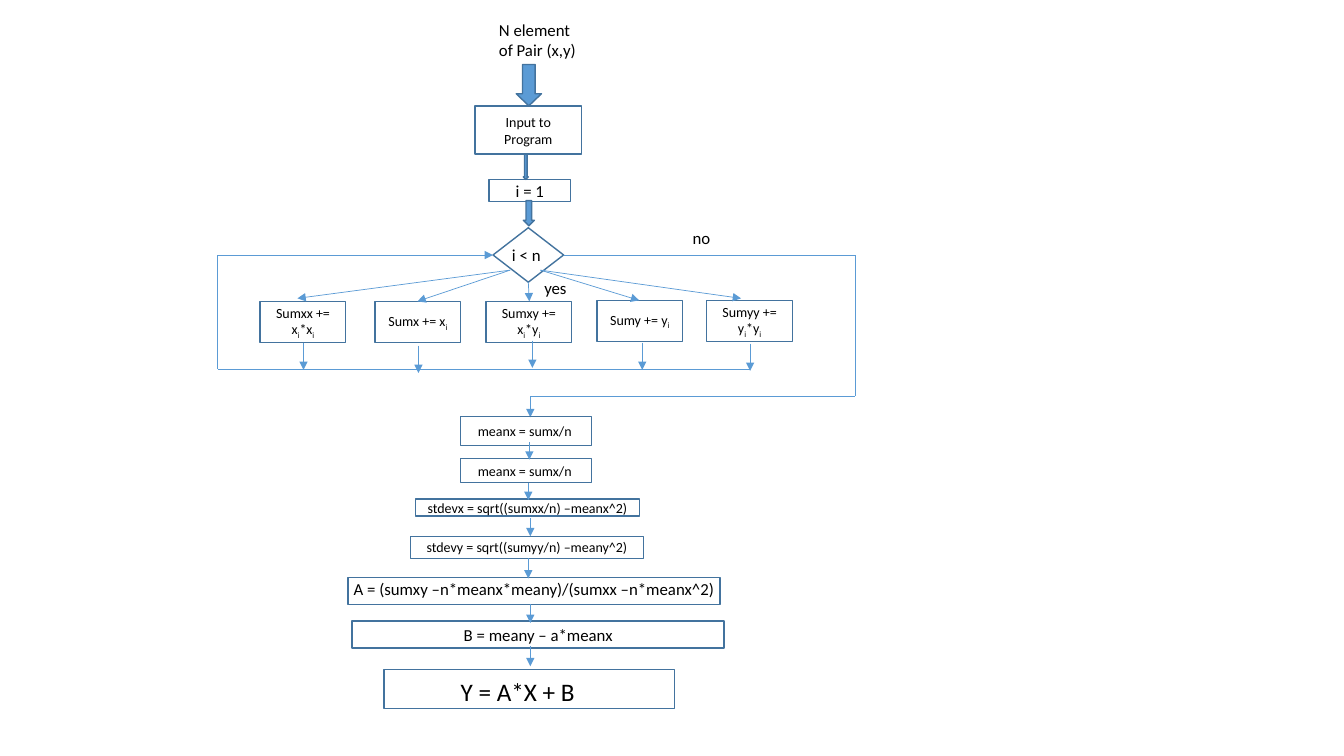
from itertools import pairwise

from lxml.etree import SubElement
from pptx import Presentation
from pptx.dml.color import RGBColor
from pptx.enum.shapes import MSO_CONNECTOR, MSO_SHAPE
from pptx.enum.text import MSO_ANCHOR, MSO_AUTO_SIZE, PP_ALIGN
from pptx.oxml.ns import qn
from pptx.util import Inches, Pt

HUES = {"edge": "43739E", "blue": "5B9BD5", "ink": "000000"}
FONT = {"name": "Calibri", "bold": False}
BOX = {"word_wrap": True, "vertical_anchor": MSO_ANCHOR.MIDDLE}
NOTE = {"word_wrap": True, "auto_size": MSO_AUTO_SIZE.SHAPE_TO_FIT_TEXT}


def hue(name):
    return RGBColor.from_string(HUES[name])


def apply(item, values):
    for key, value in values.items():
        setattr(item, key, value)


def write(frame, text, size, align, look):
    """Fill a frame; the letter after each underscore is a subscript."""
    apply(frame, look)
    para = frame.paragraphs[0]
    para.alignment = align
    first, *rest = text.split("_")
    parts = [(first, False)]
    for part in rest:
        parts += [(part[0], True), (part[1:], False)]
    for words, low in parts:
        if not words:
            continue
        run = para.add_run()
        run.text = words
        apply(run.font, FONT | {"size": Pt(size)})
        run.font.color.rgb = hue("ink")
        if low:
            run._r.get_or_add_rPr().set("baseline", "-25000")


def add_form(slide, kind, area, fill=None):
    form = slide.shapes.add_shape(kind, *map(Inches, area))
    form.shadow.inherit = False
    if fill:
        form.fill.solid()
        form.fill.fore_color.rgb = hue(fill)
    else:
        form.fill.background()
    form.line.color.rgb = hue("edge")
    form.line.width = Pt(1)
    return form


def add_box(slide, area, text="", size=10):
    box = add_form(slide, MSO_SHAPE.RECTANGLE, area)
    if text:
        write(box.text_frame, text, size, PP_ALIGN.CENTER, BOX)


def add_note(slide, area, text, size=12, align=PP_ALIGN.LEFT, wrap=True):
    note = slide.shapes.add_textbox(*map(Inches, area))
    write(note.text_frame, text, size, align, NOTE | {"word_wrap": wrap})


def add_block(slide, area, head=0.5):
    block = add_form(slide, MSO_SHAPE.DOWN_ARROW, area, "blue")
    block.adjustments[1] = head


def add_line(slide, start, end, tip=False):
    line = slide.shapes.add_connector(
        MSO_CONNECTOR.STRAIGHT, *map(Inches, (*start, *end)))
    line.line.color.rgb = hue("blue")
    line.line.width = Pt(0.5)
    props = line._element.spPr
    if tip:
        SubElement(props.find(qn("a:ln")), qn("a:tailEnd"), type="triangle")
    SubElement(props, qn("a:effectLst"))


def add_route(slide, points):
    """Join the points with lines; the last one has an arrowhead."""
    legs = list(pairwise(points))
    for leg in legs:
        add_line(slide, *leg, tip=leg is legs[-1])


def add_start(slide):
    add_note(slide, (4.85, 0.15, 1.02, 0.5), "N element of Pair (x,y)")
    add_block(slide, (5.12, 0.64, 0.25, 0.41), 0.48)
    add_box(slide, (4.71, 1.05, 1.06, 0.48), "Input to Program")
    add_box(slide, (4.85, 1.78, 0.81, 0.22), "i = 1", 12)
    add_block(slide, (5.19, 1.53, 0.05, 0.25))
    add_block(slide, (5.19, 1.99, 0.11, 0.25))
    add_form(slide, MSO_SHAPE.DIAMOND, (4.89, 2.26, 0.7, 0.54))
    add_note(slide, (4.98, 2.38, 0.56, 0.3), "i < n")
    add_note(slide, (6.77, 2.21, 0.42, 0.3), "no")
    add_note(slide, (5.3, 2.71, 0.47, 0.3), "yes")


def add_loop(slide):
    # Box left and top, text, branch start and end, drop x and top
    sums = [
        (2.58, 2.99, "Sumxx += x_i*x_i", (5.06, 2.68), (2.95, 2.96), 3.01, 3.4),
        (3.72, 2.99, "Sumx += x_i", (5.06, 2.68), (4.14, 2.99), 4.15, 3.43),
        (4.82, 2.99, "Sumxy += x_i*y_i", (5.24, 2.8), (5.25, 2.99), 5.28, 3.38),
        (5.92, 2.98, "Sumy += y_i", (5.36, 2.68), (6.34, 2.98), 6.37, 3.4),
        (7.01, 2.98, "Sumyy += y_i*y_i", (5.36, 2.68), (7.35, 2.96), 7.44, 3.41),
    ]
    for left, top, text, start, end, drop, base in sums:
        add_box(slide, (left, top, 0.85, 0.41), text)
        add_line(slide, start, end, tip=True)
        add_line(slide, (drop, base), (drop, base + 0.27), tip=True)
    # Way back to the test, and way out of the loop
    add_route(slide, [(7.44, 3.66), (2.16, 3.66), (2.16, 2.53), (4.89, 2.53)])
    add_route(slide, [(5.59, 2.53), (8.48, 2.53), (8.48, 3.93),
                      (5.26, 3.93), (5.26, 4.14)])


def add_steps(slide):
    steps = [
        ((4.57, 4.13, 1.3, 0.29), "meanx = sumx/n "),
        ((4.57, 4.55, 1.3, 0.24), "meanx = sumx/n "),
        ((4.12, 4.95, 2.22, 0.17), "stdevx = sqrt((sumxx/n) –meanx^2)"),
        ((4.07, 5.32, 2.31, 0.22), "stdevy = sqrt((sumyy/n) –meany^2)"),
        ((3.45, 5.73, 3.69, 0.27), ""),
        ((3.49, 6.16, 3.69, 0.27), ""),
        ((3.81, 6.64, 2.88, 0.39), ""),
    ]
    for area, text in steps:
        add_box(slide, area, text)
    # Results
    add_note(slide, (3.41, 5.69, 3.86, 0.3),
             "A = (sumxy –n*meanx*meany)/(sumxx –n*meanx^2)")
    add_note(slide, (3.41, 6.15, 3.86, 0.3), "B = meany – a*meanx",
             align=PP_ALIGN.CENTER)
    add_note(slide, (4.47, 6.66, 1.35, 0.4), "Y = A*X + B", 18, wrap=False)
    # Arrows between the steps
    for x, top, low in [(5.25, 4.39, 4.56), (5.24, 4.79, 4.96),
                        (5.26, 5.14, 5.32), (5.24, 5.54, 5.74),
                        (5.26, 5.99, 6.18), (5.26, 6.41, 6.61)]:
        add_line(slide, (x, top), (x, low), tip=True)


def main():
    deck = Presentation()
    apply(deck, {"slide_width": Inches(13.33), "slide_height": Inches(7.5)})
    slide = deck.slides.add_slide(deck.slide_layouts[6])
    add_start(slide)
    add_loop(slide)
    add_steps(slide)
    deck.save("out.pptx")


if __name__ == "__main__":
    main()
